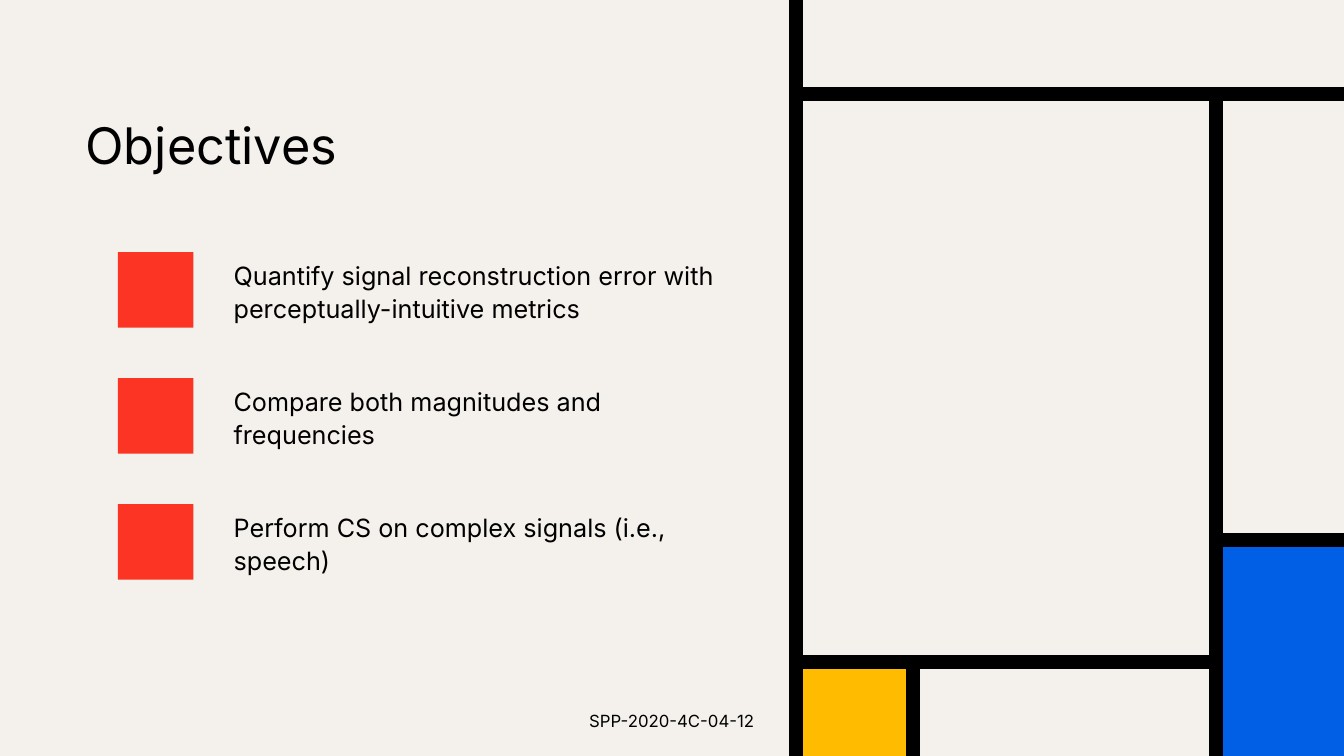
from lxml.etree import SubElement
from pptx import Presentation
from pptx.dml.color import RGBColor
from pptx.enum.shapes import MSO_CONNECTOR, MSO_SHAPE
from pptx.enum.text import MSO_ANCHOR, PP_ALIGN
from pptx.oxml.ns import qn
from pptx.util import Pt

COLORS = {"paper": "F4F1EC", "ink": "000000", "red": "FB3424",
          "yellow": "FFBB00", "blue": "005FE5"}
FONT = "Inter"
WIDTH, HEIGHT = 960, 540
OBJECTIVES = [
    "Quantify signal reconstruction error with perceptually-intuitive metrics",
    "Compare both magnitudes and frequencies",
    "Perform CS on complex signals (i.e., speech)",
]


def rgb(name):
    """Return the named palette colour."""
    return RGBColor.from_string(COLORS[name])


def add_block(slide, box, color):
    """Draw a flat rectangle filling box (left, top, width, height)."""
    shape = slide.shapes.add_shape(MSO_SHAPE.RECTANGLE, *map(Pt, box))
    shape.shadow.inherit = False
    shape.fill.solid()
    shape.fill.fore_color.rgb = rgb(color)
    shape.line.fill.background()


def add_bar(slide, start, end):
    """Draw a thick black bar between two points."""
    connector = slide.shapes.add_connector(
        MSO_CONNECTOR.STRAIGHT, *map(Pt, (*start, *end)))
    connector.line.width = Pt(10)
    connector.line.color.rgb = rgb("ink")
    SubElement(connector._element.spPr, qn("a:effectLst"))


def add_text(slide, box, text, size, anchor=MSO_ANCHOR.TOP, **paragraph_format):
    """Write one wrapped paragraph in box with the given format values."""
    frame = slide.shapes.add_textbox(*map(Pt, box)).text_frame
    frame.word_wrap = True
    frame.vertical_anchor = anchor
    paragraph = frame.paragraphs[0]
    paragraph.text = text
    for name, value in paragraph_format.items():
        setattr(paragraph, name, value)
    font = paragraph.runs[0].font
    for name, value in {"name": FONT, "size": Pt(size)}.items():
        setattr(font, name, value)
    font.color.rgb = rgb("ink")


def add_grid_art(slide, box):
    """Draw the grid of bars with its blue and yellow cells in box."""
    left, top, width, height = box
    right, bottom = left + width, top + height
    inner, narrow = left + 299.5, left + 83.5
    upper, middle, lower = top + 67, top + 386, top + 473
    add_block(slide, (inner, middle, right - inner, bottom - middle), "blue")
    add_block(slide, (left, lower, narrow - left, bottom - lower), "yellow")
    bars = [
        ((left, top), (left, bottom)),
        ((inner, bottom), (inner, upper)),
        ((left, upper), (right, upper)),
        ((left, lower), (inner, lower)),
        ((inner, middle), (right, middle)),
        ((narrow, lower), (narrow, bottom)),
    ]
    for start, end in bars:
        add_bar(slide, start, end)


def add_objectives(slide, box):
    """List the objectives in box, each beside a red square."""
    left, top, width, height = box
    square, indent = 54, 75.6
    pitch = (height - square) / (len(OBJECTIVES) - 1)
    for index, objective in enumerate(OBJECTIVES):
        row_top = top + index * pitch
        add_block(slide, (left, row_top, square, square), "red")
        add_text(slide, (left + indent, row_top, width - indent, square),
                 objective, 18, line_spacing=1.1)


def build_objectives_slide(presentation):
    """Add the objectives slide with its title, list, footer and grid art."""
    slide = presentation.slides.add_slide(presentation.slide_layouts[6])
    slide.background.fill.solid()
    slide.background.fill.fore_color.rgb = rgb("paper")
    add_grid_art(slide, (568.8, 0, WIDTH - 568.8, HEIGHT))
    add_text(slide, (54, 67.7, 556.6, 77), "Objectives", 36,
             MSO_ANCHOR.MIDDLE, line_spacing=0.9)
    add_objectives(slide, (84.2, 180, 436.3, 234))
    add_text(slide, (342, 500.4, 275.8, 28.8), "SPP-2020-4C-04-12", 12,
             MSO_ANCHOR.MIDDLE, alignment=PP_ALIGN.CENTER)


presentation = Presentation()
presentation.slide_width, presentation.slide_height = Pt(WIDTH), Pt(HEIGHT)
build_objectives_slide(presentation)
presentation.save("out.pptx")
